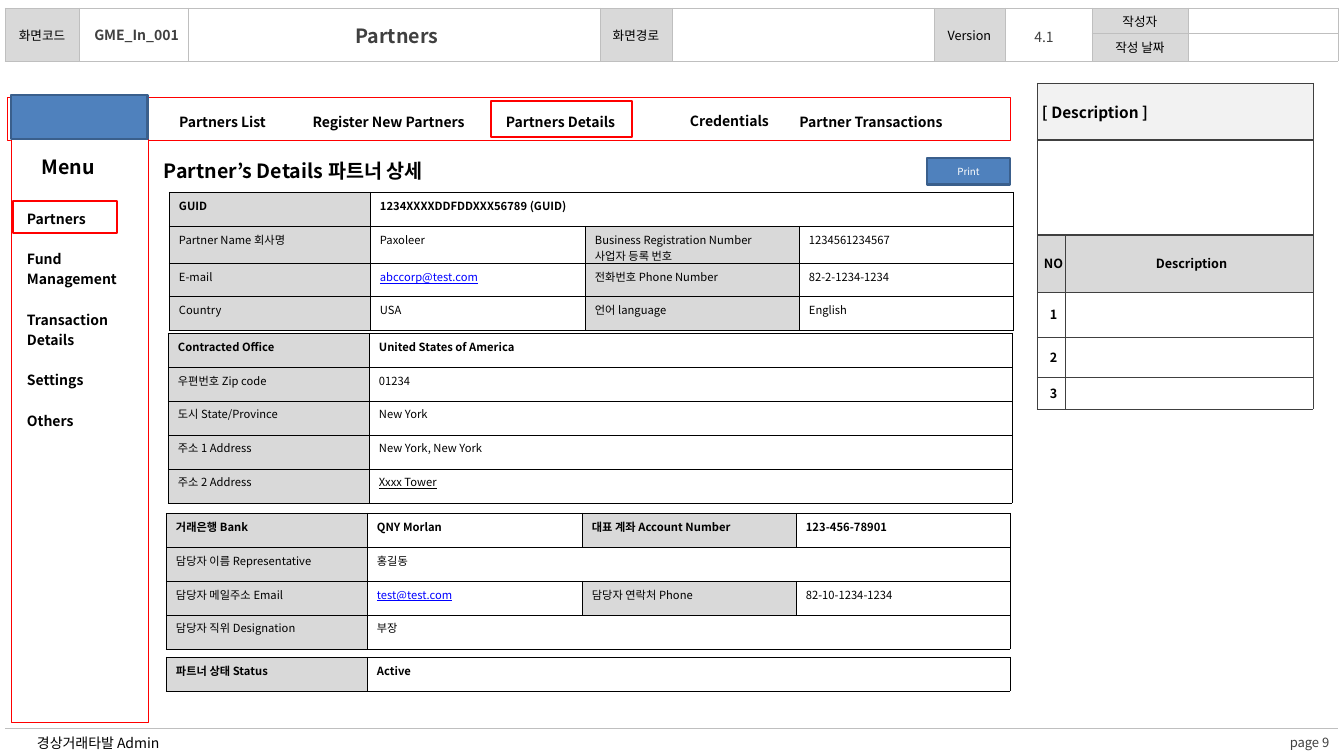
from lxml import etree
from pptx import Presentation
from pptx.dml.color import RGBColor
from pptx.enum.shapes import MSO_SHAPE
from pptx.enum.text import MSO_ANCHOR, PP_ALIGN
from pptx.oxml.ns import qn
from pptx.util import Emu, Pt

LEFT, CENTER = PP_ALIGN.LEFT, PP_ALIGN.CENTER
TOP, MIDDLE = MSO_ANCHOR.TOP, MSO_ANCHOR.MIDDLE
RECTANGLE = MSO_SHAPE.RECTANGLE
PX = 914400 / 100.8

THEME = {
    "font": "Noto Sans CJK KR",
    "black": "000000", "ink": "404040", "white": "FFFFFF", "label": "D9D9D9",
    "pale": "F2F2F2", "rule": "BFBFBF", "blue": "4F81BD", "navy": "3A5F8C",
    "red": "FF0000", "link": "0000FF",
    "title": 14, "heading": 11, "body": 10, "page": 9.3, "small": 9, "field": 8, "button": 7,
}


def write(frame, text, size, color="black", bold=False, align=LEFT, underline=False, gap=0):
    frame.text = text
    for index, paragraph in enumerate(frame.paragraphs):
        paragraph.alignment = align
        if index and gap:
            paragraph.space_before = Pt(gap)
        for run in paragraph.runs:
            run.font.size = Pt(THEME[size])
            run.font.bold = bold
            run.font.underline = underline
            run.font.color.rgb = RGBColor.from_string(THEME[color])
            run.font.name = THEME["font"]
            etree.SubElement(run._r.rPr, qn("a:ea"), typeface=THEME["font"])


def make_table(left, top, widths, heights, border, margins, anchor):
    box = [Emu(round(n * PX)) for n in (left, top, sum(widths), sum(heights))]
    grid = slide.shapes.add_table(len(heights), len(widths), *box).table
    grid.first_row = grid.horz_banding = False
    for column, width in zip(grid.columns, widths):
        column.width = Emu(round(width * PX))
    for row, height in zip(grid.rows, heights):
        row.height = Emu(round(height * PX))
    for cell in grid.iter_cells():
        inset = [Emu(round(n * PX)) for n in margins]
        cell.margin_left, cell.margin_top, cell.margin_right, cell.margin_bottom = inset
        cell.vertical_anchor = anchor
        for side in ("lnL", "lnR", "lnT", "lnB"):
            line = etree.SubElement(cell._tc.get_or_add_tcPr(), qn(f"a:{side}"), w="3175")
            if border:
                paint = etree.SubElement(line, qn("a:solidFill"))
                etree.SubElement(paint, qn("a:srgbClr"), val=THEME[border])
            else:
                etree.SubElement(line, qn("a:noFill"))
        cell.fill.background()
        etree.SubElement(cell.text_frame.paragraphs[0]._p, qn("a:endParaRPr"), sz="800")
    return grid


prs = Presentation()
prs.slide_width, prs.slide_height = Emu(round(1344 * PX)), Emu(round(756 * PX))
slide = prs.slides.add_slide(prs.slide_layouts[6])

header = make_table(5, 8, [74, 109, 412, 72, 262, 71, 87, 96, 150], [25, 28, 667],
                    "rule", (1, 1, 1, 0), MIDDLE)
for column in range(7):
    header.cell(0, column).merge(header.cell(1, column))
header.cell(2, 0).merge(header.cell(2, 8))
for column in range(9):
    for side in ("a:lnL", "a:lnR"):
        edge = header.cell(2, column)._tc.tcPr.find(qn(side))
        edge.remove(edge[0])
        etree.SubElement(edge, qn("a:noFill"))
for row, column, label in [(0, 0, "화면코드"), (0, 3, "화면경로"), (0, 5, "Version"),
                           (0, 7, "작성자"), (1, 7, "작성 날짜")]:
    cell = header.cell(row, column)
    write(cell.text_frame, label, "small", align=CENTER)
    cell.fill.solid()
    cell.fill.fore_color.rgb = RGBColor.from_string(THEME["label"])

notes = make_table(1037, 83, [28, 248], [57, 95, 57, 45, 40, 32], "ink", (5, 0, 0, 0), MIDDLE)
for row in range(2):
    notes.cell(row, 0).merge(notes.cell(row, 1))
for column in range(2):
    for row, side in [(0, "a:lnB"), (1, "a:lnT"), (1, "a:lnB"), (2, "a:lnT")]:
        notes.cell(row, column)._tc.tcPr.find(qn(side)).set("w", "12700")
for row, column, fill in [(0, 0, "pale"), (1, 0, "white"), (2, 0, "label"), (2, 1, "label")]:
    cell = notes.cell(row, column)
    cell.fill.solid()
    cell.fill.fore_color.rgb = RGBColor.from_string(THEME[fill])
write(notes.cell(0, 0).text_frame, "[ Description ]", "heading", bold=True)
write(notes.cell(2, 1).text_frame, "Description", "small", bold=True, align=CENTER)
for row, label in enumerate(["NO", "1", "2", "3"], 2):
    write(notes.cell(row, 0).text_frame, label, "small", bold=True, align=CENTER)

for left, top, width, height, fill, line, weight, caption in [
    (7, 97, 1003, 43, "white", "red", 0.25, ""),
    (11, 97, 137, 625, "white", "red", 0.25, ""),
    (927, 158, 83, 27, "blue", "navy", 2, "Print"),
    (11, 95, 137, 44, "blue", "navy", 2, ""),
]:
    panel = slide.shapes.add_shape(RECTANGLE, *[Emu(round(n * PX)) for n in (left, top, width, height)])
    panel.shadow.inherit = False
    panel.fill.solid()
    panel.fill.fore_color.rgb = RGBColor.from_string(THEME[fill])
    panel.line.color.rgb = RGBColor.from_string(THEME[line])
    panel.line.width = Pt(weight)
    if caption:
        panel.text_frame.vertical_anchor = MIDDLE
        write(panel.text_frame, caption, "button", "white", align=CENTER)

details = [
    (169, 192, [34, 37, 33, 34], [
        ("GUID", "1234XXXXDDFDDXXX56789 (GUID)"),
        ("Partner Name 회사명", "Paxoleer", "Business Registration Number\n사업자 등록 번호", "1234561234567"),
        ("E-mail", "abccorp@test.com", "전화번호 Phone Number", "82-2-1234-1234"),
        ("Country", "USA", "언어 language", "English"),
    ]),
    (168, 333, [34] * 5, [
        ("Contracted Office", "United States of America"),
        ("우편번호 Zip code", "01234"),
        ("도시 State/Province", "New York"),
        ("주소 1 Address", "New York, New York"),
        ("주소 2 Address", "Xxxx Tower"),
    ]),
    (166, 513, [34] * 4, [
        ("거래은행 Bank", "QNY Morlan", "대표 계좌 Account Number", "123-456-78901"),
        ("담당자 이름 Representative", "홍길동"),
        ("담당자 메일주소 Email", "test@test.com", "담당자 연락처 Phone", "82-10-1234-1234"),
        ("담당자 직위 Designation", "부장"),
    ]),
    (166, 657, [34], [("파트너 상태 Status", "Active")]),
]
for left, top, heights, records in details:
    widths = [201, 215, 214, 214] if max(map(len, records)) == 4 else [201, 643]
    grid = make_table(left, top, widths, heights, "black", (10, 5, 10, 0), TOP)
    for row, record in enumerate(records):
        if len(record) < len(widths):
            grid.cell(row, 1).merge(grid.cell(row, 3))
        for column, value in enumerate(record):
            cell = grid.cell(row, column)
            cell.fill.solid()
            cell.fill.fore_color.rgb = RGBColor.from_string(THEME["white" if column % 2 else "label"])
            email = "@" in value
            write(cell.text_frame, value, "field", "link" if email else "black", bold=row == 0,
                  underline=email or value == "Xxxx Tower")

menu = make_table(17, 176, [113], [27, 245], None, (10, 5, 10, 5), TOP)
write(menu.cell(1, 0).text_frame, "Partners\nFund Management\nTransaction Details\nSettings\nOthers",
      "body", bold=True, gap=14.5)

tabs = make_table(153, 103, [139, 193, 151, 349], [36], None, (10, 5, 10, 5), MIDDLE)
for column, label in enumerate(["Partners List", "Register New Partners",
                                "Partners Details", "Partner Transactions"]):
    write(tabs.cell(0, column).text_frame, label, "body", bold=True, align=CENTER)
tabs.cell(0, 3).margin_left = Emu(round(131 * PX))

for left, top, width, height in [(13, 201, 104, 32), (491, 101, 141, 36)]:
    highlight = slide.shapes.add_shape(RECTANGLE, *[Emu(round(n * PX)) for n in (left, top, width, height)])
    highlight.shadow.inherit = False
    highlight.fill.background()
    highlight.line.color.rgb = RGBColor.from_string(THEME["red"])
    highlight.line.width = Pt(2)

for text, left, top, width, height, size, color, bold, align in [
    ("page 9", 1279, 729, 61, 26, "page", "ink", False, CENTER),
    ("경상거래타발 Admin", 37, 730, 300, 25, "body", "black", False, LEFT),
    ("Partner’s Details 파트너 상세", 164, 154, 290, 34, "title", "black", True, LEFT),
    ("GME_In_001", 79, 21, 115, 27, "body", "ink", True, CENTER),
    ("4.1", 1013, 23, 62, 27, "body", "ink", False, CENTER),
    ("Partners", 196, 19, 402, 34, "title", "ink", True, CENTER),
    ("Menu", 31, 150, 75, 34, "title", "black", True, CENTER),
    ("Credentials", 690, 107, 120, 27, "body", "black", True, LEFT),
]:
    frame = slide.shapes.add_textbox(*[Emu(round(n * PX)) for n in (left, top, width, height)]).text_frame
    frame.word_wrap = True
    frame.vertical_anchor = MIDDLE
    frame.margin_left = frame.margin_top = frame.margin_right = frame.margin_bottom = 0
    write(frame, text, size, color, bold, align)

prs.save("out.pptx")
